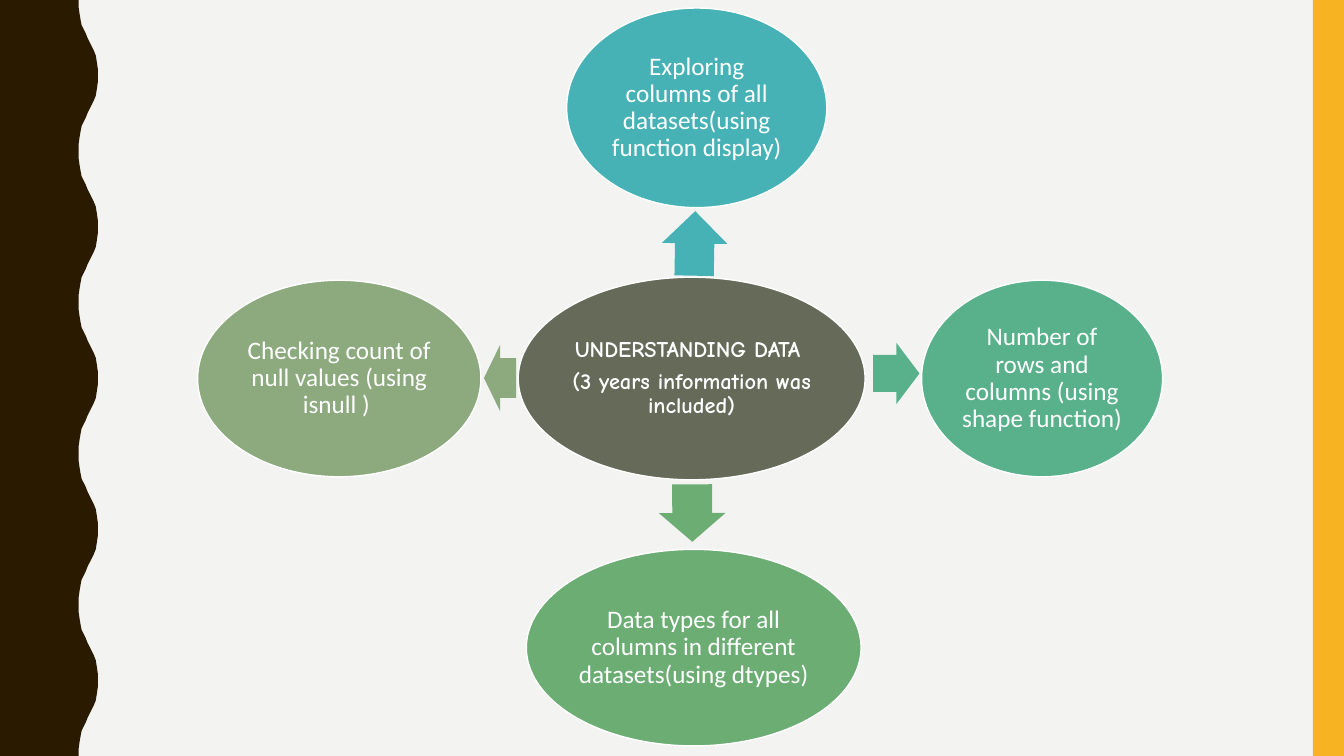
import pptx
import pptx.dml.color
import pptx.enum.shapes
import pptx.enum.text
import pptx.util

Inches = pptx.util.Inches
Pt = pptx.util.Pt
Shapes = pptx.enum.shapes.MSO_SHAPE

COLORS = {
    "background": "F3F3F2",
    "wave": "2A1A00",
    "band": "F8B323",
    "center": "656A59",
    "top": "46B2B5",
    "right": "59B18C",
    "bottom": "6CAD74",
    "left": "8CAA7E",
    "white": "FFFFFF",
}

WAVE_PERIOD = 1.5
WAVE_COUNT = 5
HALF_WAVE = [
    (0.78, 0), (0.78, 0.07), (0.79, 0.14), (0.8, 0.2), (0.81, 0.25),
    (0.83, 0.29), (0.85, 0.33), (0.87, 0.38), (0.89, 0.42), (0.91, 0.46),
    (0.93, 0.5), (0.95, 0.55), (0.96, 0.61), (0.97, 0.68), (0.97, 0.75),
]

TOPICS = [
    ("top", (5.62, 0.08, 2.58, 1.98), (6.57, 2.09, 0.64, 0.65), 271,
     "Exploring columns of all datasets(using function display)"),
    ("right", (9.14, 2.78, 2.39, 1.95), (8.66, 3.4, 0.46, 0.61), 0,
     "Number of rows and columns (using shape function)"),
    ("bottom", (5.22, 5.45, 3.32, 1.95), (6.58, 4.76, 0.57, 0.66), 89.8,
     "Data types for all columns in different datasets(using dtypes)"),
    ("left", (1.96, 2.78, 2.81, 1.95), (4.8, 3.42, 0.32, 0.66), 180,
     "Checking count of null values (using isnull ) "),
]


class SlideBuilder:
    def __init__(self, slide):
        self.slide = slide
        background = slide.background.fill
        background.solid()
        background.fore_color.rgb = self.color("background")

    def color(self, name):
        return pptx.dml.color.RGBColor.from_string(COLORS[name])

    def paint(self, shape, color):
        shape.shadow.inherit = False
        shape.fill.solid()
        shape.fill.fore_color.rgb = self.color(color)
        shape.line.fill.background()
        return shape

    def shape(self, kind, box, color):
        shape = self.slide.shapes.add_shape(kind, *map(Inches, box))
        return self.paint(shape, color)

    def wave(self):
        falling = [(x, WAVE_PERIOD - y) for x, y in reversed(HALF_WAVE[1:-1])]
        edge = [
            (x, y + index * WAVE_PERIOD)
            for index in range(WAVE_COUNT)
            for x, y in HALF_WAVE + falling
        ]
        height = WAVE_PERIOD * WAVE_COUNT
        outline = edge + [(HALF_WAVE[0][0], height), (0, height)]
        builder = self.slide.shapes.build_freeform(0, 0)
        builder.add_line_segments([(Inches(x), Inches(y)) for x, y in outline])
        self.paint(builder.convert_to_shape(), "wave")

    def arrow(self, box, color, rotation):
        arrow = self.shape(Shapes.RIGHT_ARROW, box, color)
        arrow.adjustments[0] = 0.6
        arrow.adjustments[1] = 0.5
        arrow.rotation = rotation

    def bubble(self, box, color, lines, font="Calibri", size=18, bold=False, inset=0.03):
        bubble = self.shape(Shapes.OVAL, box, color)
        bubble.line.color.rgb = self.color("white")
        bubble.line.width = Pt(1)
        frame = bubble.text_frame
        frame.word_wrap = True
        frame.vertical_anchor = pptx.enum.text.MSO_ANCHOR.MIDDLE
        frame.margin_left = frame.margin_right = Inches(inset)
        frame.margin_top = frame.margin_bottom = Inches(inset)
        frame.text = "\n".join(lines)
        for paragraph in frame.paragraphs:
            paragraph.alignment = pptx.enum.text.PP_ALIGN.CENTER
            paragraph.line_spacing = 0.9
            paragraph.space_after = Pt(size * 0.35)
            paragraph.font.name = font
            paragraph.font.size = Pt(size)
            paragraph.font.bold = bold
            paragraph.font.color.rgb = self.color("white")


def main():
    presentation = pptx.Presentation()
    presentation.slide_width = Inches(13.33)
    presentation.slide_height = Inches(7.5)
    slide = presentation.slides.add_slide(presentation.slide_layouts[6])
    builder = SlideBuilder(slide)
    builder.wave()
    builder.shape(Shapes.RECTANGLE, (13.02, 0, 0.31, 7.5), "band")
    builder.bubble(
        (5.14, 2.75, 3.44, 2.01), "center",
        ["UNDERSTANDING DATA ", "(3 years information was included)"],
        font="Comic Neue", size=16, bold=True, inset=0.02,
    )
    for color, bubble_box, arrow_box, rotation, text in TOPICS:
        builder.arrow(arrow_box, color, rotation)
        builder.bubble(bubble_box, color, [text])
    presentation.save("out.pptx")


if __name__ == "__main__":
    main()
